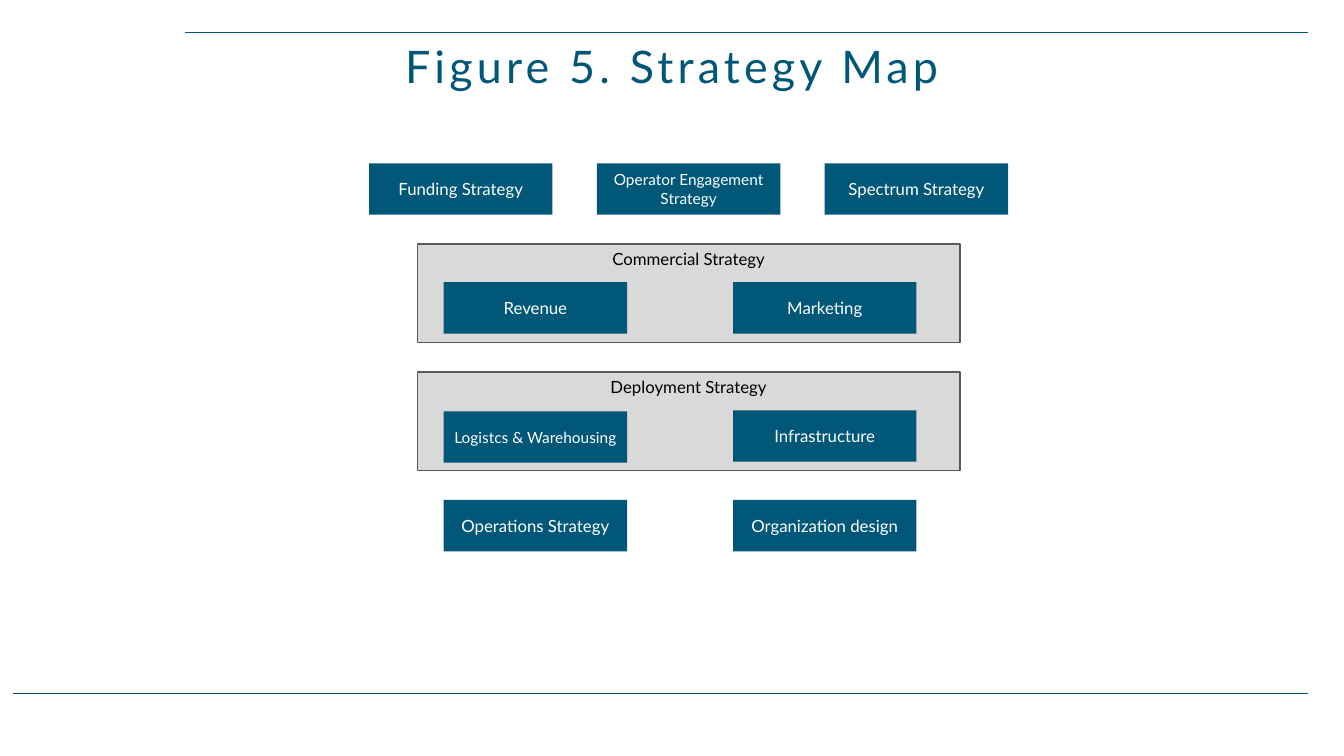
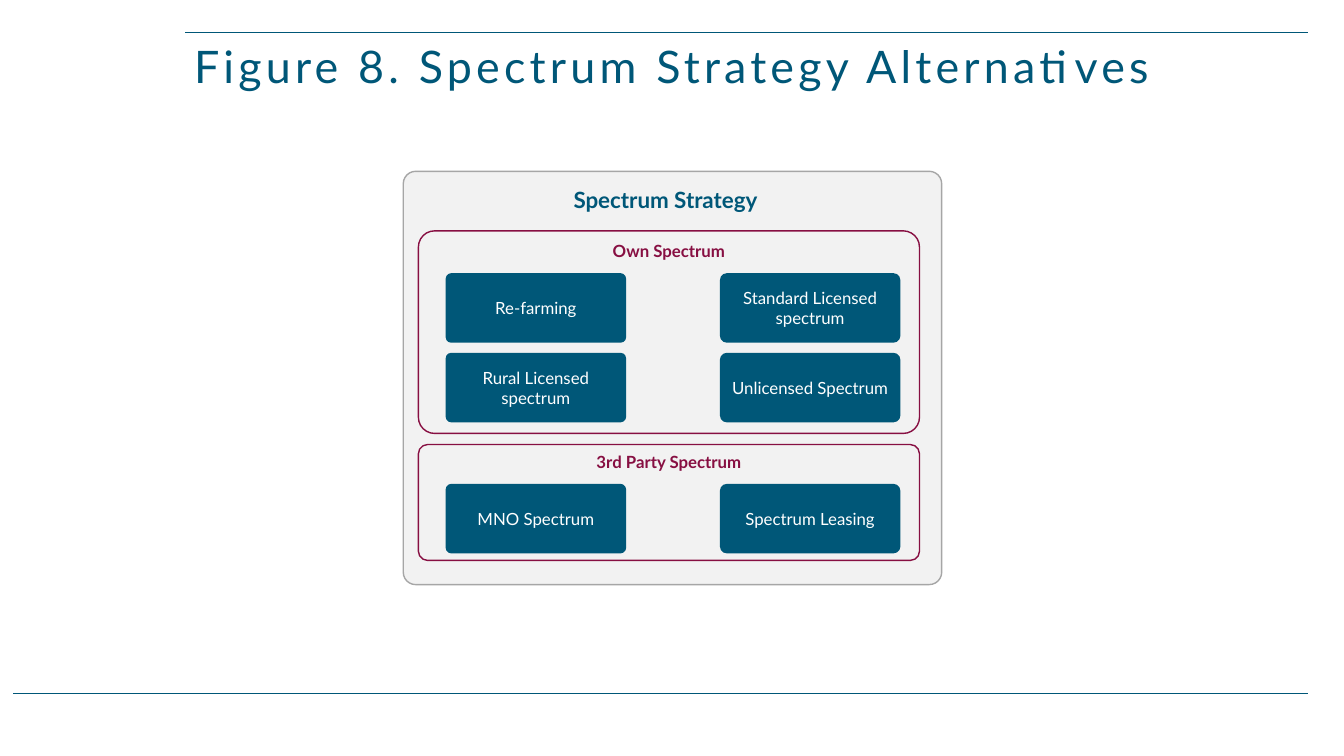
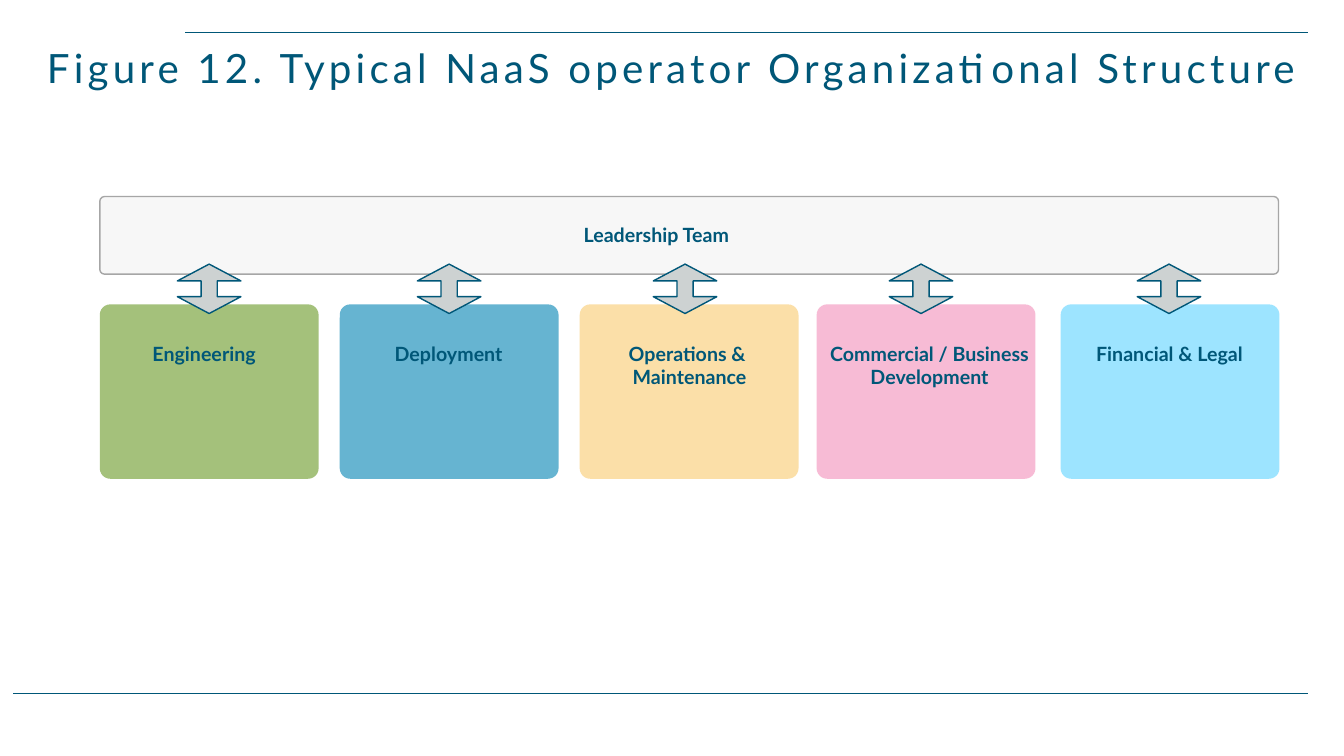
from lxml.etree import SubElement
from pptx import Presentation
from pptx.dml.color import RGBColor
from pptx.enum.shapes import MSO_CONNECTOR, MSO_SHAPE
from pptx.enum.text import MSO_ANCHOR, MSO_AUTO_SIZE, PP_ALIGN
from pptx.oxml.ns import qn
from pptx.util import Pt

PX = 9144  # 100 px to the inch
FONT = "Lato"
TEAL = RGBColor(0x00, 0x57, 0x78)
MAROON = RGBColor(0x87, 0x0F, 0x42)
WHITE = RGBColor(0xFF, 0xFF, 0xFF)
BLACK = RGBColor(0x00, 0x00, 0x00)
PALE = RGBColor(0xF2, 0xF2, 0xF2)
LIGHT_GREY = RGBColor(0xD9, 0xD9, 0xD9)
MID_GREY = RGBColor(0xA6, 0xA6, 0xA6)
DARK_GREY = RGBColor(0x59, 0x59, 0x59)
ARROW_GREY = RGBColor(0xCD, 0xD2, 0xD2)
GREEN = RGBColor(0x68, 0x98, 0x24)
BLUE = RGBColor(0x00, 0x83, 0xB3)
AMBER = RGBColor(0xF9, 0xCA, 0x6E)
PINK = RGBColor(0xF2, 0x8E, 0xB9)
SKY = RGBColor(0x5C, 0xD3, 0xFF)

RECT, ROUND = MSO_SHAPE.RECTANGLE, MSO_SHAPE.ROUNDED_RECTANGLE
TOP, MIDDLE, BOTTOM = MSO_ANCHOR.TOP, MSO_ANCHOR.MIDDLE, MSO_ANCHOR.BOTTOM


def write(shape, text, size, color, bold=False, anchor=TOP, align=PP_ALIGN.CENTER):
    """Fill the shape with one paragraph per line of text."""
    frame = shape.text_frame
    frame.word_wrap = True
    frame.auto_size = MSO_AUTO_SIZE.NONE
    frame.vertical_anchor = anchor
    for number, line in enumerate(text.split("\n")):
        paragraph = frame.add_paragraph() if number else frame.paragraphs[0]
        paragraph.alignment = align
        run = paragraph.add_run()
        run.text = line
        run.font.name = FONT
        run.font.size = Pt(size)
        run.font.bold = bold
        run.font.color.rgb = color


def add_block(slide, preset, box, fill=None, line=None, corner=None, opacity=100):
    """Add a preset shape at box (left, top, width, height in px)."""
    block = slide.shapes.add_shape(preset, *(n * PX for n in box))
    block.shadow.inherit = False
    block.text_frame.margin_left = block.text_frame.margin_right = 5 * PX
    if corner is not None:
        block.adjustments[0] = corner
    if fill is None:
        block.fill.background()
    else:
        block.fill.solid()
        block.fill.fore_color.rgb = fill
        if opacity < 100:
            color = block.fill._xPr.find(qn("a:solidFill"))[0]
            SubElement(color, qn("a:alpha")).set("val", str(opacity * 1000))
    if line is None:
        block.line.fill.background()
    else:
        block.line.color.rgb = line
        block.line.width = Pt(1)
    return block


deck = Presentation()
deck.slide_width, deck.slide_height = 1333 * PX, 750 * PX

# Shared frame: title and two rules
slides = []
for heading, size in (
    ("Figure 5. Strategy Map", 32),
    ("Figure 8. Spectrum Strategy Alternatives", 32),
    ("Figure 12. Typical NaaS operator Organizational Structure", 28.8),
):
    slide = deck.slides.add_slide(deck.slide_layouts[5])
    slides.append(slide)
    title = slide.shapes.title
    title.left, title.top, title.width, title.height = 0, 36 * PX, 1333 * PX, 60 * PX
    write(title, heading, size, TEAL, anchor=BOTTOM)
    paragraph = title.text_frame.paragraphs[0]
    paragraph.line_spacing = 0.8
    paragraph.runs[0].font._element.set("spc", "300")
    for left, top in ((184, 32), (13, 688)):
        rule = slide.shapes.add_connector(
            MSO_CONNECTOR.STRAIGHT, left * PX, top * PX, 1297 * PX, top * PX)
        rule.line.color.rgb = TEAL
        rule.line.width = Pt(1)
        SubElement(rule._element.spPr, qn("a:effectLst"))

strategy_map, spectrum, organization = slides

# Strategy map
for top, name in ((369, "Deployment Strategy"), (242, "Commercial Strategy")):
    group = add_block(strategy_map, RECT, (414, top, 538, 98), LIGHT_GREY, DARK_GREY)
    write(group, name, 12, BLACK)

for left, top, name, size in (
    (366, 162, "Funding Strategy", 12),
    (592, 162, "Operator Engagement Strategy", 11),
    (818, 162, "Spectrum Strategy", 12),
    (440, 280, "Revenue", 12),
    (727, 280, "Marketing", 12),
    (440, 408, "Logistcs & Warehousing", 11),
    (727, 407, "Infrastructure", 12),
    (440, 496, "Operations Strategy", 12),
    (727, 496, "Organization design", 12),
):
    strategy = add_block(strategy_map, RECT, (left, top, 182, 51), TEAL)
    write(strategy, name, size, WHITE, anchor=MIDDLE)

# Spectrum strategy alternatives
add_block(spectrum, ROUND, (400, 170, 534, 410), PALE, MID_GREY, 0.03)
caption = spectrum.shapes.add_textbox(559 * PX, 180 * PX, 216 * PX, 37 * PX)
write(caption, "Spectrum Strategy", 16, TEAL, True, align=PP_ALIGN.LEFT)

for top, height, name in ((229, 201, "Own Spectrum"), (441, 115, "3rd Party Spectrum")):
    source = add_block(spectrum, ROUND, (415, top, 497, height), None, MAROON, 0.08)
    write(source, name, 12, MAROON, True)

for top, *names in (
    (271, "Re-farming", "Standard Licensed spectrum"),
    (350, "Rural Licensed spectrum", "Unlicensed Spectrum"),
    (480, "MNO Spectrum", "Spectrum Leasing"),
):
    for left, corner, name in zip((442, 714), (0.08, 0.1), names):
        option = add_block(spectrum, ROUND, (left, top, 179, 69), TEAL, corner=corner)
        write(option, name, 12, WHITE, anchor=MIDDLE)

# Organizational structure
add_block(organization, ROUND, (99, 195, 1169, 77), PALE, MID_GREY, 0.06, 60)
leadership = organization.shapes.add_textbox(470 * PX, 216 * PX, 362 * PX, 34 * PX)
write(leadership, "Leadership Team", 14, TEAL, True)

for left, color, label_left, label_width, arrow_left, name in (
    (99, GREEN, 137, 131, 176, "Engineering"),
    (337, BLUE, 378, 134, 414, "Deployment"),
    (575, AMBER, 609, 150, 648, "Operations & \nMaintenance"),
    (810, PINK, 810, 224, 882, "Commercial / Business Development"),
    (1052, SKY, 1071, 178, 1128, "Financial & Legal"),
):
    add_block(organization, ROUND, (left, 302, 217, 173), color, None, 0.06, 60)
    label = organization.shapes.add_textbox(
        label_left * PX, 334 * PX, label_width * PX, 57 * PX)
    write(label, name, 14, TEAL, True)
    arrow = add_block(organization, MSO_SHAPE.UP_DOWN_ARROW,
                      (arrow_left, 262, 63, 49), ARROW_GREY, TEAL)
    # The library's default guides for this preset repeat adj1, so write both anew
    guides = arrow._element.spPr.find(qn("a:prstGeom")).find(qn("a:avLst"))
    for guide in list(guides):
        guides.remove(guide)
    for guide_name, value in (("adj1", 25500), ("adj2", 34000)):
        guide = SubElement(guides, qn("a:gd"))
        guide.set("name", guide_name)
        guide.set("fmla", f"val {value}")

deck.save("out.pptx")
